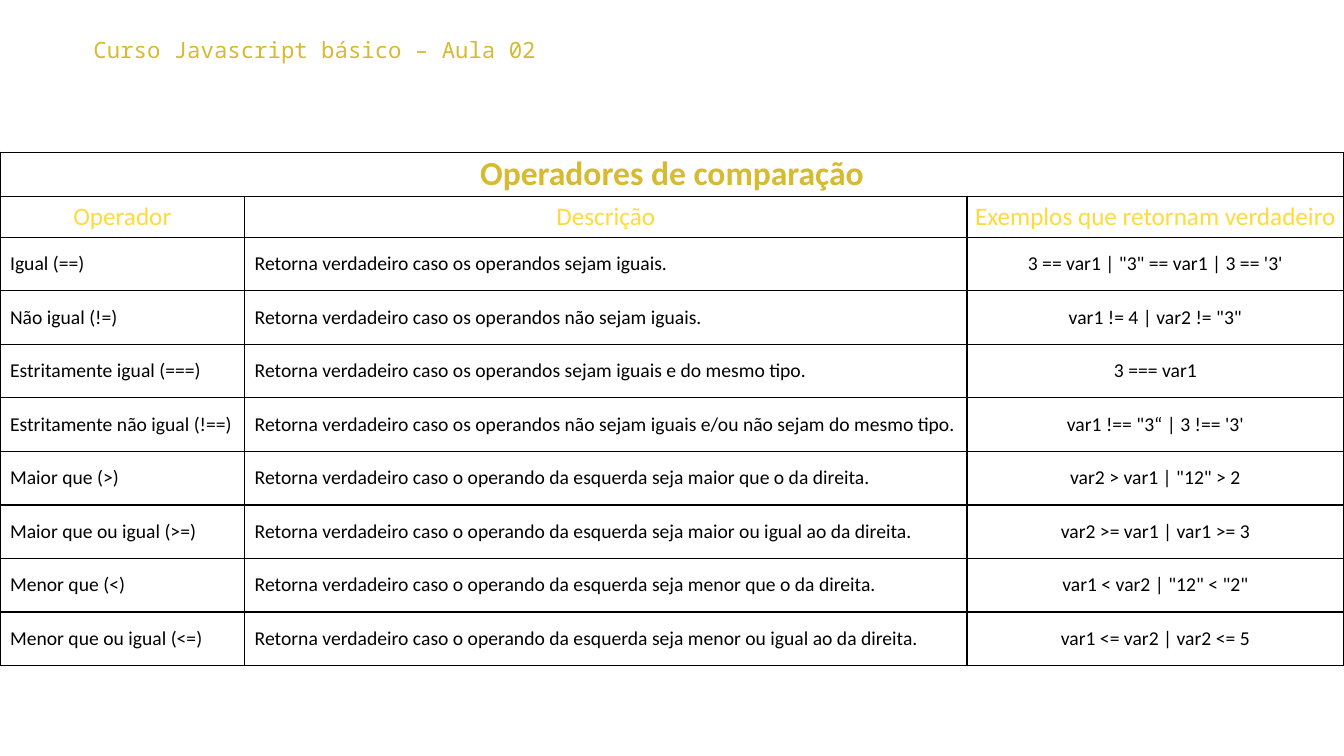
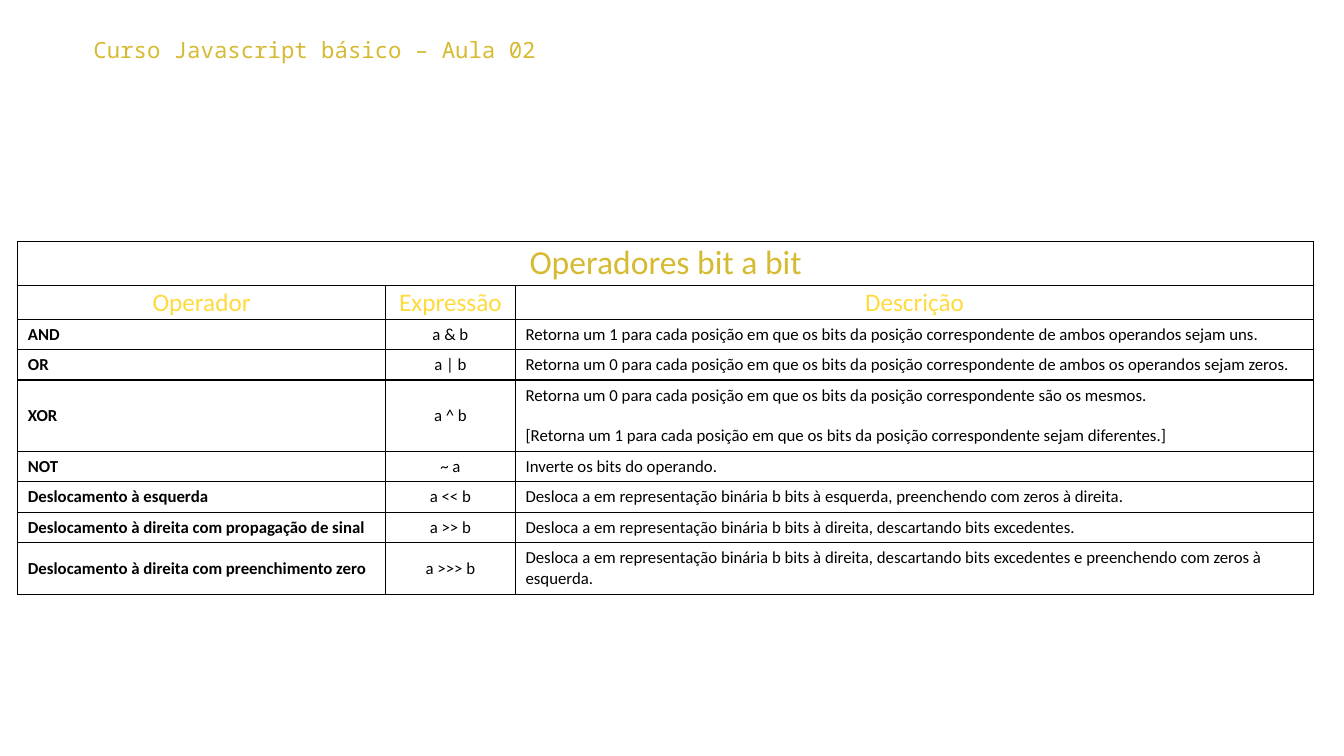
from lxml.etree import SubElement
from pptx import Presentation
from pptx.dml.color import RGBColor
from pptx.enum.text import MSO_ANCHOR, PP_ALIGN
from pptx.oxml.ns import qn
from pptx.util import Emu, Pt

GOLD = RGBColor(0xD6, 0xBA, 0x32)
YELLOW = RGBColor(0xFF, 0xDA, 0x3E)
BLACK = RGBColor(0, 0, 0)
WHITE = RGBColor(0xFF, 0xFF, 0xFF)

BODY_FONT = "Calibri"
CODE_FONT = "Noto Sans Mono"
COURSE = "Curso Javascript básico – Aula 02"
BLANK_LINE = Pt(14.6)

COMPARISON = [
    ("Operador", "Descrição", "Exemplos que retornam verdadeiro"),
    ("Igual (==)", "Retorna verdadeiro caso os operandos sejam iguais.",
     "3 == var1 | \"3\" == var1 | 3 == '3'"),
    ("Não igual (!=)", "Retorna verdadeiro caso os operandos não sejam iguais.",
     'var1 != 4 | var2 != "3"'),
    ("Estritamente igual (===)",
     "Retorna verdadeiro caso os operandos sejam iguais e do mesmo tipo.",
     "3 === var1"),
    ("Estritamente não igual (!==)",
     "Retorna verdadeiro caso os operandos não sejam iguais e/ou não sejam do mesmo tipo.",
     "var1 !== \"3“ | 3 !== '3'"),
    ("Maior que (>)",
     "Retorna verdadeiro caso o operando da esquerda seja maior que o da direita.",
     'var2 > var1 | "12" > 2'),
    ("Maior que ou igual (>=)",
     "Retorna verdadeiro caso o operando da esquerda seja maior ou igual ao da direita.",
     "var2 >= var1 | var1 >= 3"),
    ("Menor que (<)",
     "Retorna verdadeiro caso o operando da esquerda seja menor que o da direita.",
     'var1 < var2 | "12" < "2"'),
    ("Menor que ou igual (<=)",
     "Retorna verdadeiro caso o operando da esquerda seja menor ou igual ao da direita.",
     "var1 <= var2 | var2 <= 5"),
]

BITWISE = [
    ("Operador", "Expressão", "Descrição"),
    ("AND", "a & b",
     "Retorna um 1 para cada posição em que os bits da posição correspondente "
     "de ambos operandos sejam uns."),
    ("OR", "a | b",
     "Retorna um 0 para cada posição em que os bits da posição correspondente "
     "de ambos os operandos sejam zeros."),
    ("XOR", "a ^ b",
     "Retorna um 0 para cada posição em que os bits da posição correspondente "
     "são os mesmos.\n"
     "[Retorna um 1 para cada posição em que os bits da posição correspondente "
     "sejam diferentes.]"),
    ("NOT", "~ a", "Inverte os bits do operando."),
    ("Deslocamento à esquerda", "a << b",
     "Desloca a em representação binária b bits à esquerda, "
     "preenchendo com zeros à direita."),
    ("Deslocamento à direita com propagação de sinal", "a >> b",
     "Desloca a em representação binária b bits à direita, "
     "descartando bits excedentes."),
    ("Deslocamento à direita com preenchimento zero", "a >>> b",
     "Desloca a em representação binária b bits à direita, "
     "descartando bits excedentes e preenchendo com zeros à esquerda."),
]


def px(n):
    return Emu(n * 9525)


def set_font(p, name, size, color, bold=False):
    f = p.font
    f.name, f.size, f.bold = name, Pt(size), bold
    f.color.rgb = color


def add_course_title(s, x, y, w, h):
    tf = s.shapes.add_textbox(px(x), px(y), px(w), px(h)).text_frame
    tf.word_wrap = True
    tf.margin_left = tf.margin_right = tf.margin_top = tf.margin_bottom = px(12)
    p = tf.paragraphs[0]
    p.text = COURSE
    set_font(p, CODE_FONT, 16, GOLD)


def add_borders(cell):
    tc_pr = cell._tc.get_or_add_tcPr()
    for side in ("lnL", "lnR", "lnT", "lnB"):
        ln = SubElement(tc_pr, qn(f"a:{side}"), w=str(Pt(1)))
        fill = SubElement(ln, qn("a:solidFill"))
        SubElement(fill, qn("a:srgbClr"), val=str(BLACK))


def style_cell(cell, text, size, color, bold=False, centered=False):
    cell.vertical_anchor = MSO_ANCHOR.MIDDLE
    if centered:
        cell.margin_left = cell.margin_right = px(3)
        cell.margin_top = cell.margin_bottom = px(1)
    tf = cell.text_frame
    tf.text = text
    for i, p in enumerate(tf.paragraphs):
        p.alignment = PP_ALIGN.CENTER if centered else PP_ALIGN.LEFT
        if i:
            p.space_before = BLANK_LINE
        set_font(p, BODY_FONT, size, color, bold)


def add_operator_table(s, x, y, widths, heights, title, rows, size,
                       centered_col, bold_title=False, bold_names=False):
    table = s.shapes.add_table(len(heights), len(widths), px(x), px(y),
                               px(sum(widths)), px(sum(heights))).table
    table.first_row = table.horz_banding = False
    for col, w in zip(table.columns, widths):
        col.width = px(w)
    for row, h in zip(table.rows, heights):
        row.height = px(h)
    for cell in table.iter_cells():
        add_borders(cell)
        cell.fill.solid()
        cell.fill.fore_color.rgb = WHITE

    # Title across all columns
    table.cell(0, 0).merge(table.cell(0, len(widths) - 1))
    style_cell(table.cell(0, 0), title, 24, GOLD, bold_title, centered=True)

    # Column heads, then one row per operator
    for r, texts in enumerate(rows, 1):
        for c, text in enumerate(texts):
            cell = table.cell(r, c)
            if r == 1:
                style_cell(cell, text, 18, YELLOW, centered=True)
            else:
                style_cell(cell, text, size, BLACK, bold_names and c == 0,
                           c == centered_col)


def add_slide(prs):
    s = prs.slides.add_slide(prs.slide_layouts[6])
    add_course_title(s, 77, 22, 1155, 54)
    return s


def main():
    prs = Presentation()
    prs.slide_width, prs.slide_height = px(1280), px(720)

    # Comparison operators
    add_operator_table(add_slide(prs), 0, 145, [233, 688, 359],
                       [42, 39] + [51] * 8, "Operadores de comparação",
                       COMPARISON, 14, centered_col=2, bold_title=True)

    # Bitwise operators
    add_operator_table(add_slide(prs), 17, 230, [350, 124, 760],
                       [42, 32, 29, 29, 68, 29, 29, 29, 49],
                       "Operadores bit a bit", BITWISE, 12,
                       centered_col=1, bold_names=True)

    prs.save("out.pptx")


if __name__ == "__main__":
    main()
